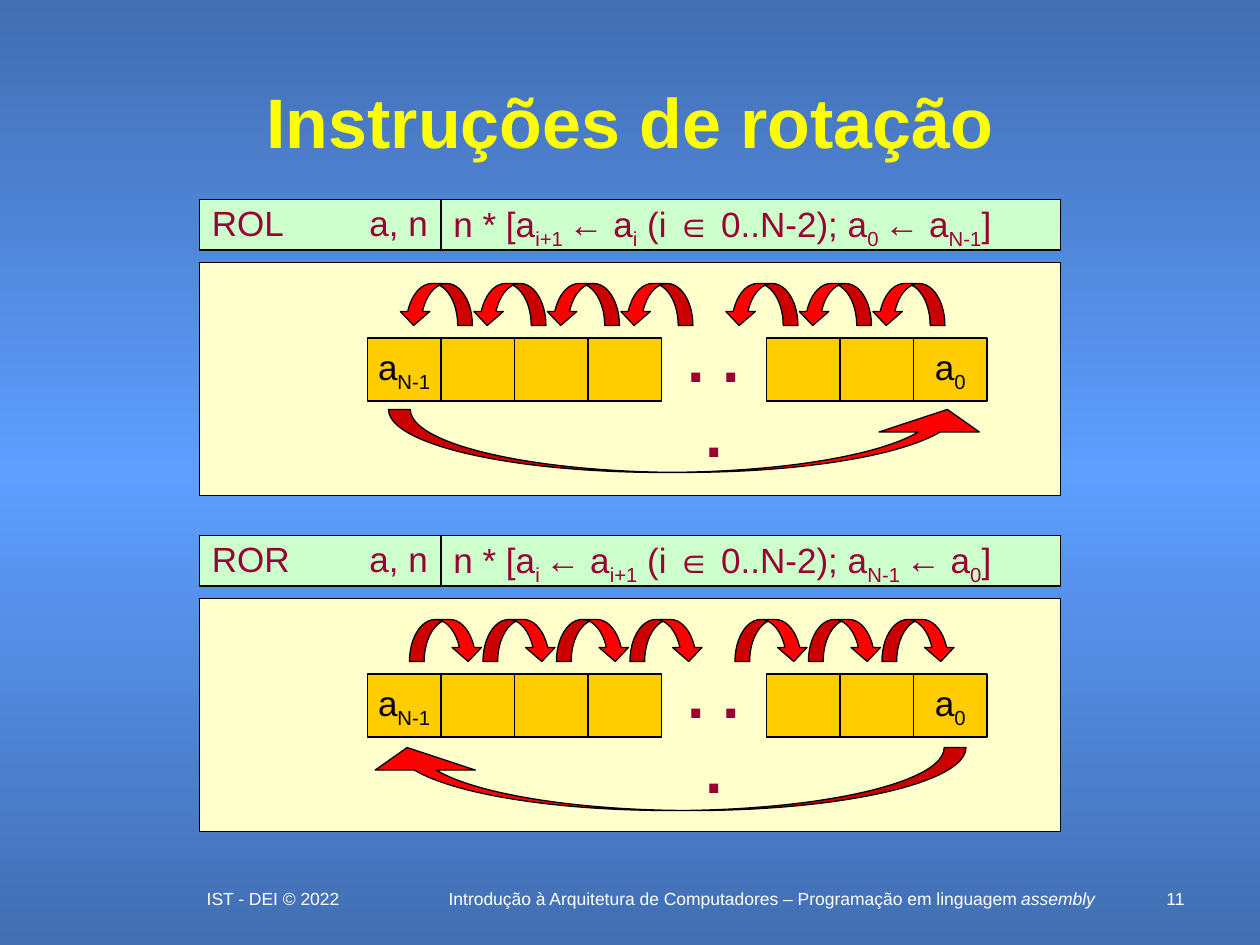
from copy import deepcopy

from lxml import etree
from pptx import Presentation
from pptx.dml.color import RGBColor
from pptx.enum.shapes import MSO_SHAPE
from pptx.enum.text import MSO_ANCHOR, PP_ALIGN
from pptx.oxml.ns import qn
from pptx.util import Pt

RECT = MSO_SHAPE.RECTANGLE
HOP = MSO_SHAPE.CURVED_DOWN_ARROW
SWEEP = MSO_SHAPE.CURVED_UP_ARROW
TOP, MIDDLE = MSO_ANCHOR.TOP, MSO_ANCHOR.MIDDLE
LEFT, CENTER, RIGHT = PP_ALIGN.LEFT, PP_ALIGN.CENTER, PP_ALIGN.RIGHT

STEP = 42           # width of one bit cell
CELLS = [96 + STEP * i for i in range(4)] + [324 + STEP * i for i in range(3)]
HOPS = CELLS[:4] + [CELLS[4] - STEP + STEP * i for i in range(3)]

BASE = {"name": "Arial", "size": Pt(20), "bold": False}
CODE = {**BASE, "color": "990033"}
LABEL = {**BASE, "color": "000000"}
DOTS = {**BASE, "size": Pt(36), "bold": True, "color": "990033"}
TITLE = {**BASE, "size": Pt(40), "bold": True, "color": "FFFF00"}
NOTE = {**BASE, "size": Pt(10), "color": "FFFFFF"}


def rgb(code):
    return RGBColor.from_string(code)


def style(font, form):
    for key, value in form.items():
        if key == "color":
            font.color.rgb = rgb(value)
        else:
            setattr(font, key, value)


def write(shape, text, form, align=CENTER, anchor=MIDDLE, wrap=True):
    """Write text in which every second part between bars is a subscript."""
    frame = shape.text_frame
    frame.word_wrap, frame.vertical_anchor = wrap, anchor
    para = frame.paragraphs[0]
    para.alignment = align
    for i, part in enumerate(text.split("|")):
        run = para.add_run()
        run.text = part
        style(run.font, form)
        if i % 2:
            run.font._element.set("baseline", "-25000")
    return para


def draw(parts, kind, x, y, w, h, fill, line=0.75, flip=False, bends=()):
    shape = parts.add_shape(kind, Pt(x), Pt(y), Pt(w), Pt(h))
    shape.shadow.inherit = False
    shape.fill.solid()
    shape.fill.fore_color.rgb = rgb(fill)
    shape.line.color.rgb = rgb("000000")
    shape.line.width = Pt(line)
    for i, bend in enumerate(bends):
        shape.adjustments[i] = bend
    if flip:
        shape._element.spPr.xfrm.set("flipH", "1")
    return shape


def head(parts, x, y, name, rule):
    # Name and operands, then the meaning
    for left, width, text in ((x, 138, name), (x + 138, 354, rule)):
        box = draw(parts, RECT, left, y, width, 28.8, "CCFFCC", 1)
        para = write(box, text, CODE, LEFT)
        para.line_spacing = 0.9
        if "\t" in text:
            tabs = etree.SubElement(para._p.get_or_add_pPr(), qn("a:tabLst"))
            etree.SubElement(tabs, qn("a:tab"), pos=str(Pt(90)), algn="l")


def panel(parts, x, y, left):
    draw(parts, RECT, x, y, 492, 133.2, "FFFFCC", 1)
    # Row of bits
    tags = {0: "a|N-1", len(CELLS) - 1: "a|0"}
    for i, cell in enumerate(CELLS):
        box = draw(parts, RECT, x + cell, y + 43.2, STEP, 36, "FFCC00")
        if i in tags:
            write(box, tags[i], LABEL, wrap=False)
    dots = parts.add_textbox(Pt(x + 264), Pt(y + 28.8), Pt(60), Pt(50.4))
    write(dots, ". . .", DOTS, anchor=TOP)
    # Moves between neighbours
    shift = 18 if left else 24
    for hop in HOPS:
        draw(parts, HOP, x + hop + shift, y + 12, STEP, 24, "FF0000",
             flip=left, bends=(0.35, 0.7, 0.333))
    # Move from one end to the other
    far, low = (108, 84) if left else (90, 85.2)
    draw(parts, SWEEP, x + far, y + low, 348, 36, "FF0000",
         flip=not left, bends=(0.346, 1.592, 0.358))


def block(slide, x, y, name, rule, left):
    parts = slide.shapes.add_group_shape().shapes
    head(parts, x, y, name, rule)
    panel(parts, x, y + 36, left)


def foot(slide, y):
    notes = (
        (96, 120, "IST - DEI © 2022", CENTER),
        (248.4, 385.2, "Introdução à Arquitetura de Computadores – "
                       "Programação em linguagem ", CENTER),
        (654, 30, "11", RIGHT),
    )
    for x, width, text, align in notes:
        box = slide.shapes.add_textbox(Pt(x), Pt(y), Pt(width), Pt(18))
        para = write(box, text, NOTE, align, TOP)
        if text.endswith(" "):
            run = para.add_run()
            run.text = "assembly"
            style(run.font, {**NOTE, "italic": True})


def back(slide):
    fill = slide.background.fill
    fill.gradient()
    fill.gradient_angle = 90
    stops = slide._element.find(".//" + qn("a:gsLst"))
    stops.append(deepcopy(stops[0]))
    shades = ((0, "426EB2"), (0.5, "5E9EFF"), (1, "426EB2"))
    for stop, (place, code) in zip(fill.gradient_stops, shades):
        stop.position = place
        stop.color.rgb = rgb(code)


def title(slide, text, x, y, w, h):
    shape = slide.shapes.title
    shape.left, shape.top, shape.width, shape.height = map(Pt, (x, y, w, h))
    write(shape, text, TITLE)


def main():
    deck = Presentation()
    deck.slide_width, deck.slide_height = Pt(720), Pt(540)
    slide = deck.slides.add_slide(deck.slide_layouts[5])
    back(slide)
    title(slide, "Instruções de rotação", 48, 42, 624, 54)
    block(slide, 114, 114, "ROL\ta, n",
          "n * [a|i+1 |← a|i| (i ∈ 0..N-2); a|0 |← a|N-1|]", True)
    block(slide, 114, 306, "ROR\ta, n",
          "n * [a|i |← a|i+1| (i ∈ 0..N-2); a|N-1 |← a|0|]", False)
    foot(slide, 504)
    deck.save("out.pptx")


if __name__ == "__main__":
    main()
